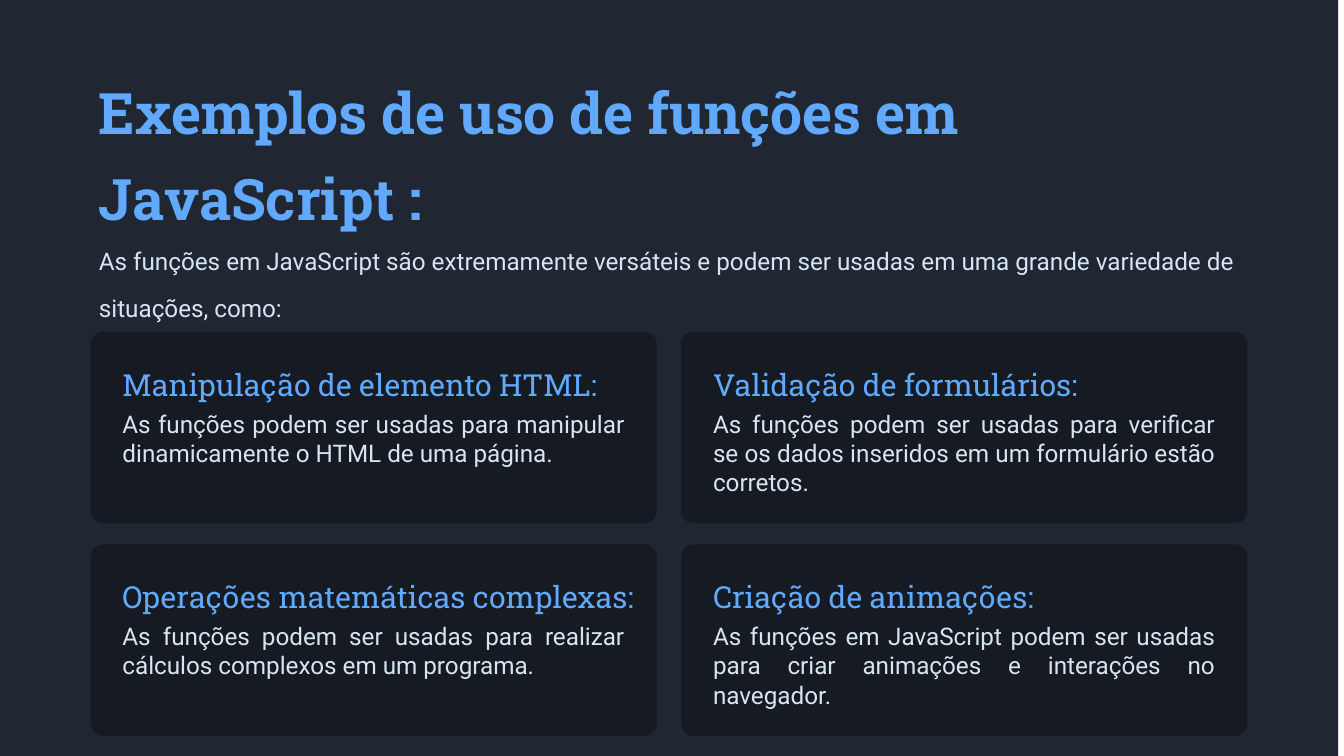
from dataclasses import dataclass

from pptx import Presentation
from pptx.dml.color import RGBColor
from pptx.enum.shapes import MSO_SHAPE
from pptx.enum.text import PP_ALIGN
from pptx.util import Inches, Pt


@dataclass(frozen=True)
class Theme:
    backdrop: str = "202733"
    card: str = "161B23"
    accent: str = "60A9FF"
    body: str = "D6E5EF"
    heading_font: str = "Roboto Slab"
    body_font: str = "Roboto"
    title_size: float = 49
    heading_size: float = 26
    body_size: float = 20.8


THEME = Theme()

LEFT = 1.08
CONTENT_WIDTH = 13.77
CARD_TOP = 3.95
CARD_WIDTH = 6.74
CARD_HEIGHT = 2.28
COLUMN_STEP = 7.03
ROW_STEP = 2.53

CARDS = [
    ("Manipulação de elemento HTML:",
     "As funções podem ser usadas para manipular dinamicamente o HTML de uma página."),
    ("Validação de formulários:",
     "As funções podem ser usadas para verificar se os dados inseridos em um formulário estão corretos."),
    ("Operações matemáticas complexas:",
     "As funções podem ser usadas para realizar cálculos complexos em um programa."),
    ("Criação de animações:",
     "As funções em JavaScript podem ser usadas para criar animações e interações no navegador."),
]


def add_panel(page, kind, left, top, width, height, color):
    panel = page.shapes.add_shape(
        kind, Inches(left), Inches(top), Inches(width), Inches(height))
    panel.shadow.inherit = False
    panel.fill.solid()
    panel.fill.fore_color.rgb = RGBColor.from_string(color)
    panel.line.fill.background()
    return panel


def add_text(page, text, left, top, width, height, font, size, color,
             bold=False, spacing=None, align=PP_ALIGN.LEFT):
    box = page.shapes.add_textbox(
        Inches(left), Inches(top), Inches(width), Inches(height))
    box.text_frame.word_wrap = True
    para = box.text_frame.paragraphs[0]
    para.alignment = align
    para.line_spacing = spacing
    span = para.add_run()
    span.text = text
    span.font.name = font
    span.font.size = Pt(size)
    span.font.bold = bold
    span.font.color.rgb = RGBColor.from_string(color)


def add_card(page, left, top, heading, description):
    card = add_panel(page, MSO_SHAPE.ROUNDED_RECTANGLE, left, top,
                     CARD_WIDTH, CARD_HEIGHT, THEME.card)
    card.adjustments[0] = 0.064
    add_text(page, heading, left + 0.28, top + 0.25, 6.46, 0.38,
             THEME.heading_font, THEME.heading_size, THEME.accent, spacing=1.25)
    add_text(page, description, left + 0.28, top + 0.87, 6.17, 1.17,
             THEME.body_font, THEME.body_size, THEME.body, align=PP_ALIGN.JUSTIFY)


def main():
    deck = Presentation()
    deck.slide_width = Inches(16)
    deck.slide_height = Inches(9)
    page = deck.slides.add_slide(deck.slide_layouts[6])

    add_panel(page, MSO_SHAPE.RECTANGLE, 0, 0, 15.93, 9.22, THEME.backdrop)
    add_text(page, "Exemplos de uso de funções em JavaScript :",
             LEFT, 0.67, CONTENT_WIDTH, 1.52, THEME.heading_font,
             THEME.title_size, THEME.accent, bold=True, spacing=1.25)
    add_text(page,
             "As funções em JavaScript são extremamente versáteis e podem ser "
             "usadas em uma grande variedade de situações, como:",
             LEFT, 2.68, CONTENT_WIDTH, 0.78, THEME.body_font,
             THEME.body_size, THEME.body, spacing=1.6)

    for index, (heading, description) in enumerate(CARDS):
        row, column = divmod(index, 2)
        add_card(page, LEFT + column * COLUMN_STEP, CARD_TOP + row * ROW_STEP,
                 heading, description)

    deck.save("out.pptx")


if __name__ == "__main__":
    main()
